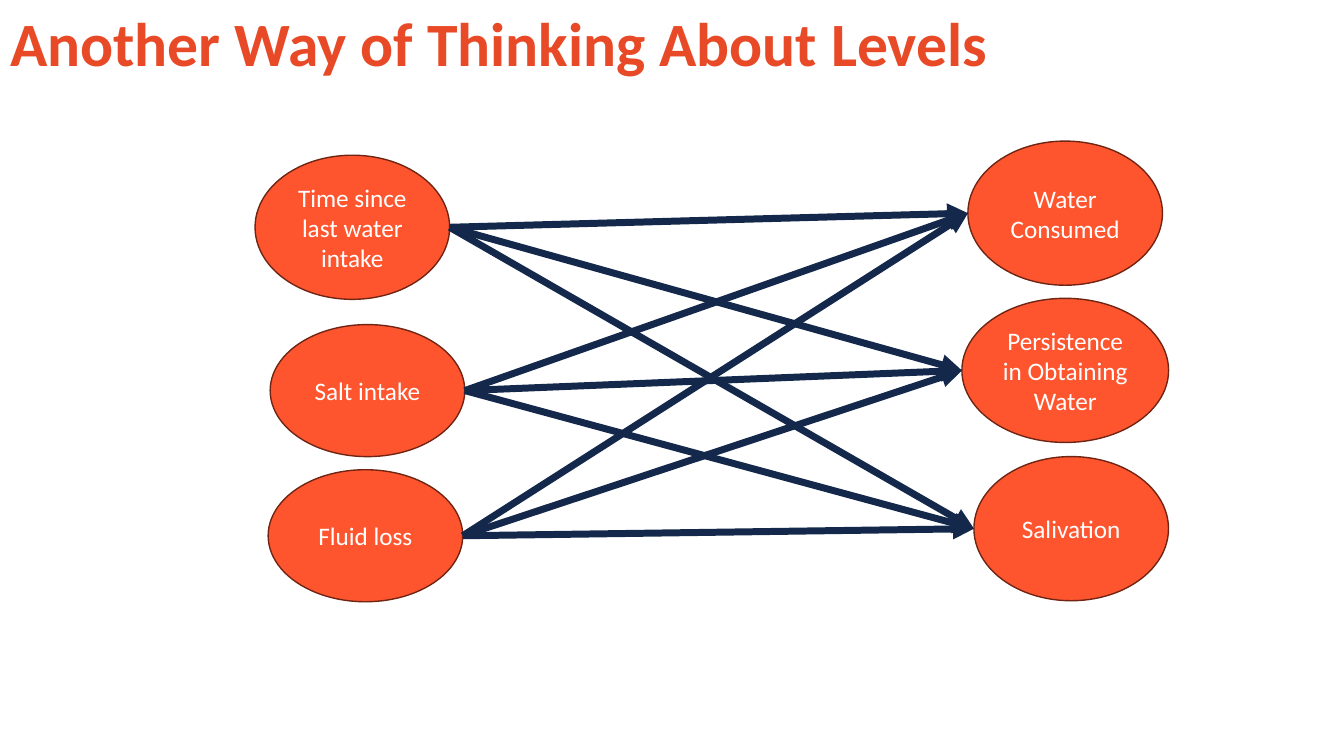
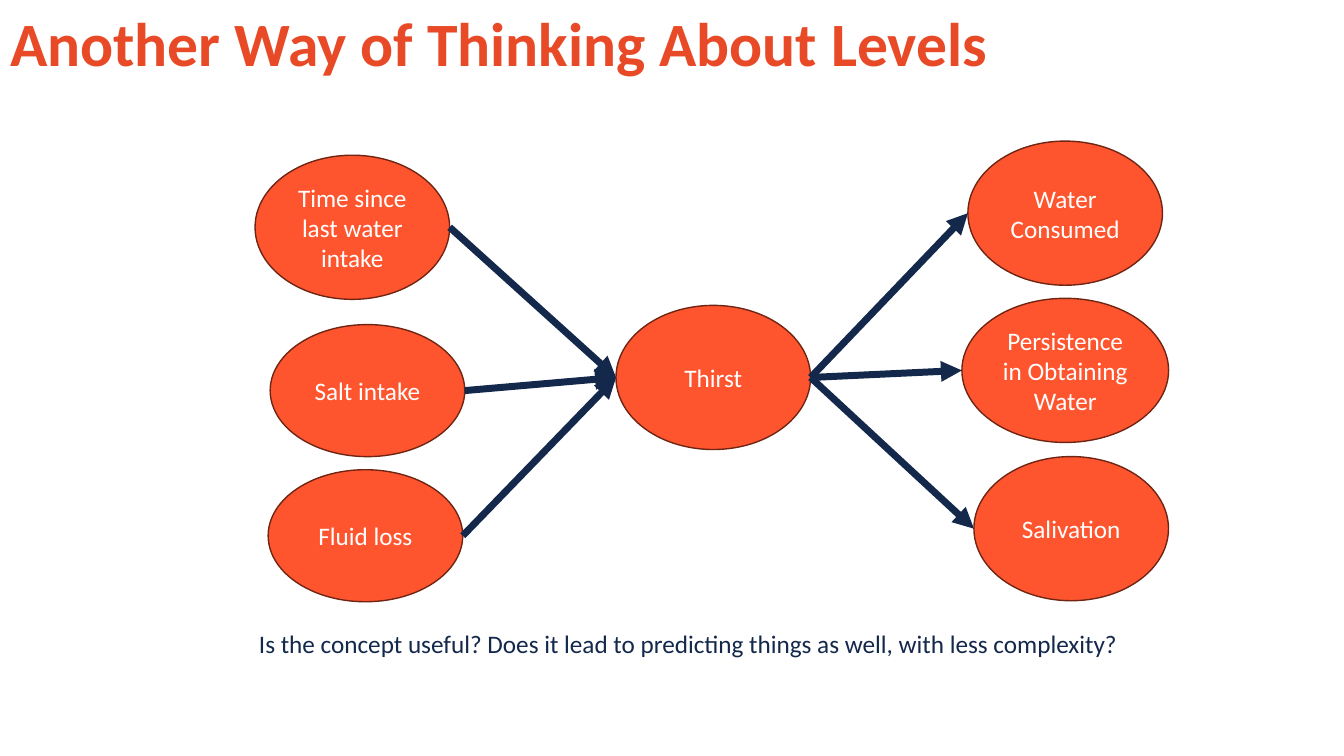
from itertools import product
from typing import NamedTuple

from pptx import Presentation
from pptx.dml.color import RGBColor
from pptx.enum.shapes import MSO_CONNECTOR as Link, MSO_SHAPE as Form
from pptx.enum.text import MSO_ANCHOR as Anchor, MSO_AUTO_SIZE as Fit, PP_ALIGN as Align
from pptx.oxml.ns import qn
from pptx.slide import Slide
from pptx.text.text import TextFrame
from pptx.util import Inches, Pt
from lxml.etree import SubElement

RED = RGBColor(0xE8, 0x4A, 0x27)
CORAL = RGBColor(0xFF, 0x55, 0x2E)
BROWN = RGBColor(0x70, 0x25, 0x14)
NAVY = RGBColor(0x13, 0x28, 0x4B)
WHITE = RGBColor(0xFF, 0xFF, 0xFF)
FONT = "Calibri"
WIDE = 13.33
TITLE = "Another Way of Thinking About Levels"
QUERY = "Is the concept useful? Does it lead to predicting things as well, with less complexity?"


class Node(NamedTuple):
    """An oval with its label, placed in inches."""

    text: str
    left: float
    top: float
    width: float = 1.93
    height: float = 1.43

    @property
    def right(self) -> float:
        """Return the x of the right end."""
        return self.left + self.width

    @property
    def middle(self) -> float:
        """Return the y of the centre."""
        return self.top + self.height / 2


CAUSES = (
    Node("Time since last water intake", 2.53, 1.54),
    Node("Salt intake", 2.68, 3.22, height=1.31),
    Node("Fluid loss", 2.66, 4.66, height=1.31),
)
EFFECTS = (
    Node("Water Consumed", 9.6, 1.4),
    Node("Persistence in Obtaining Water", 9.54, 2.96, width=2.05),
    Node("Salivation", 9.66, 4.53),
)
THIRST = Node("Thirst", 6.11, 3.03)


def write(frame: TextFrame, text: str, *, size: float = 18, color: RGBColor = NAVY,
          bold: bool = False, align: Align = Align.LEFT, anchor: Anchor = Anchor.MIDDLE,
          wrap: bool = True, fit: Fit = Fit.NONE, space: float = 1.0) -> None:
    """Fill a text frame with one formatted paragraph."""
    frame.text = text
    frame.word_wrap = wrap
    frame.auto_size = fit
    frame.vertical_anchor = anchor
    par = frame.paragraphs[0]
    par.alignment = align
    par.line_spacing = space
    font = par.font
    font.name, font.size, font.bold = FONT, Pt(size), bold
    font.color.rgb = color


def head(deck: Presentation) -> Slide:
    """Add a slide with the shared title."""
    slide = deck.slides.add_slide(deck.slide_layouts[5])
    title = slide.shapes.title
    title.left, title.top = Inches(0), Inches(0)
    title.width, title.height = Inches(WIDE), Inches(0.92)
    write(title.text_frame, TITLE, size=44, color=RED, bold=True, space=0.9)
    return slide


def oval(slide: Slide, node: Node) -> None:
    """Draw a node as a labelled oval."""
    shape = slide.shapes.add_shape(Form.OVAL, Inches(node.left), Inches(node.top),
                                   Inches(node.width), Inches(node.height))
    shape.shadow.inherit = False
    shape.fill.solid()
    shape.fill.fore_color.rgb = CORAL
    shape.line.color.rgb = BROWN
    shape.line.width = Pt(1)
    write(shape.text_frame, node.text, color=WHITE, align=Align.CENTER)


def arrow(slide: Slide, start: Node, end: Node) -> None:
    """Draw an arrow from the right of one node to the left of another."""
    line = slide.shapes.add_connector(Link.STRAIGHT, Inches(start.right), Inches(start.middle),
                                      Inches(end.left), Inches(end.middle))
    line.line.color.rgb = NAVY
    line.line.width = Pt(5)
    SubElement(line.line._get_or_add_ln(), qn("a:tailEnd"), type="triangle")
    SubElement(line._element.spPr, qn("a:effectLst"))


def chart(slide: Slide, *layers: tuple[Node, ...]) -> None:
    """Draw layers of nodes, each joined in full to the next."""
    for layer in layers:
        for node in layer:
            oval(slide, node)
    for here, after in zip(layers, layers[1:]):
        for start, end in product(here, after):
            arrow(slide, start, end)


def main() -> None:
    """Build and save the deck."""
    deck = Presentation()
    deck.slide_width, deck.slide_height = Inches(WIDE), Inches(7.5)
    chart(head(deck), CAUSES, EFFECTS)
    slide = head(deck)
    chart(slide, CAUSES, (THIRST,), EFFECTS)
    note = slide.shapes.add_textbox(Inches(2.47), Inches(6.18), Inches(8.88), Inches(0.4))
    write(note.text_frame, QUERY, anchor=Anchor.TOP, wrap=False, fit=Fit.SHAPE_TO_FIT_TEXT)
    deck.save("out.pptx")


if __name__ == "__main__":
    main()
